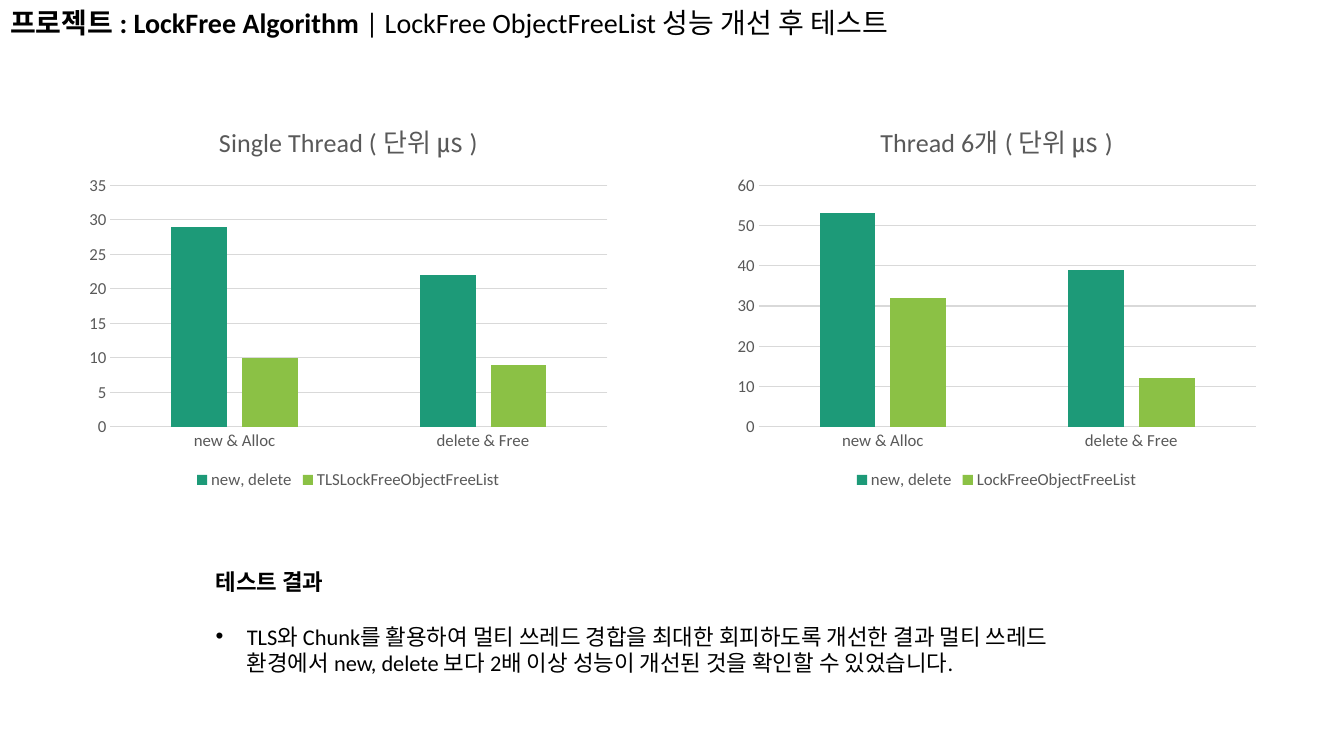
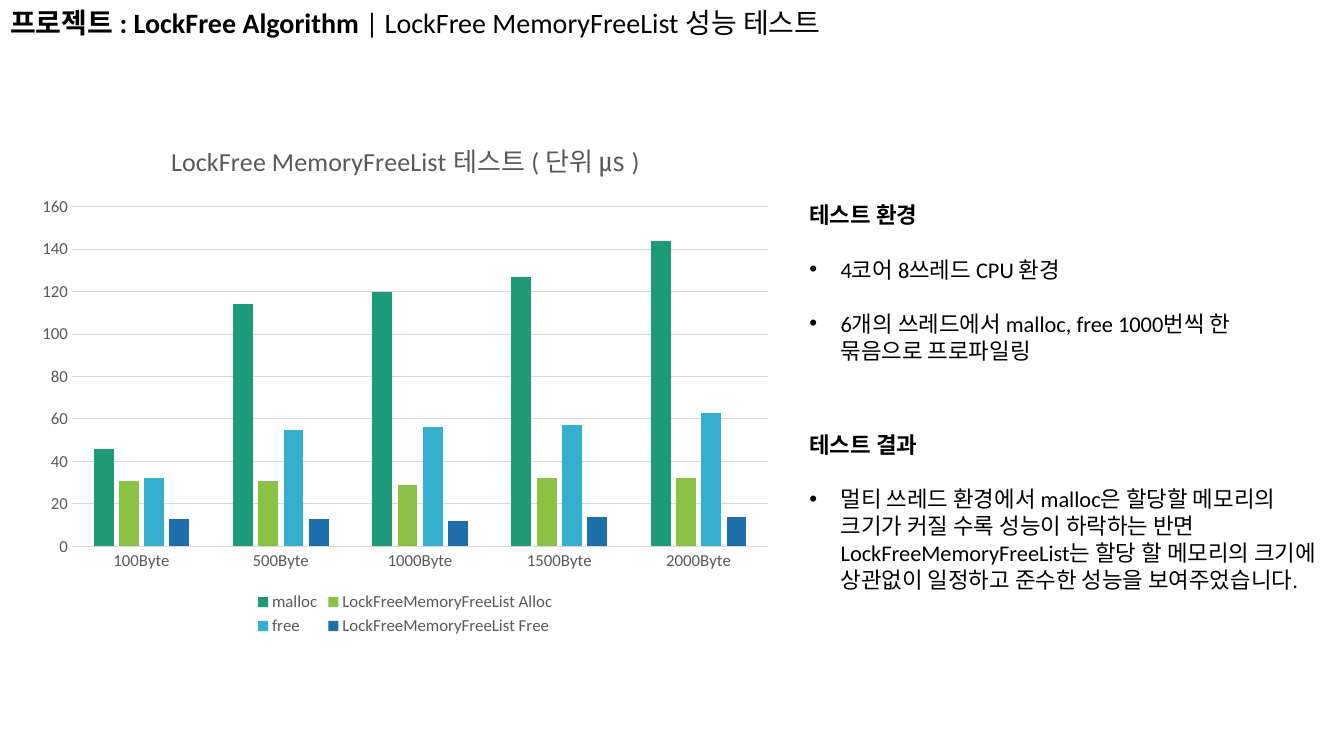
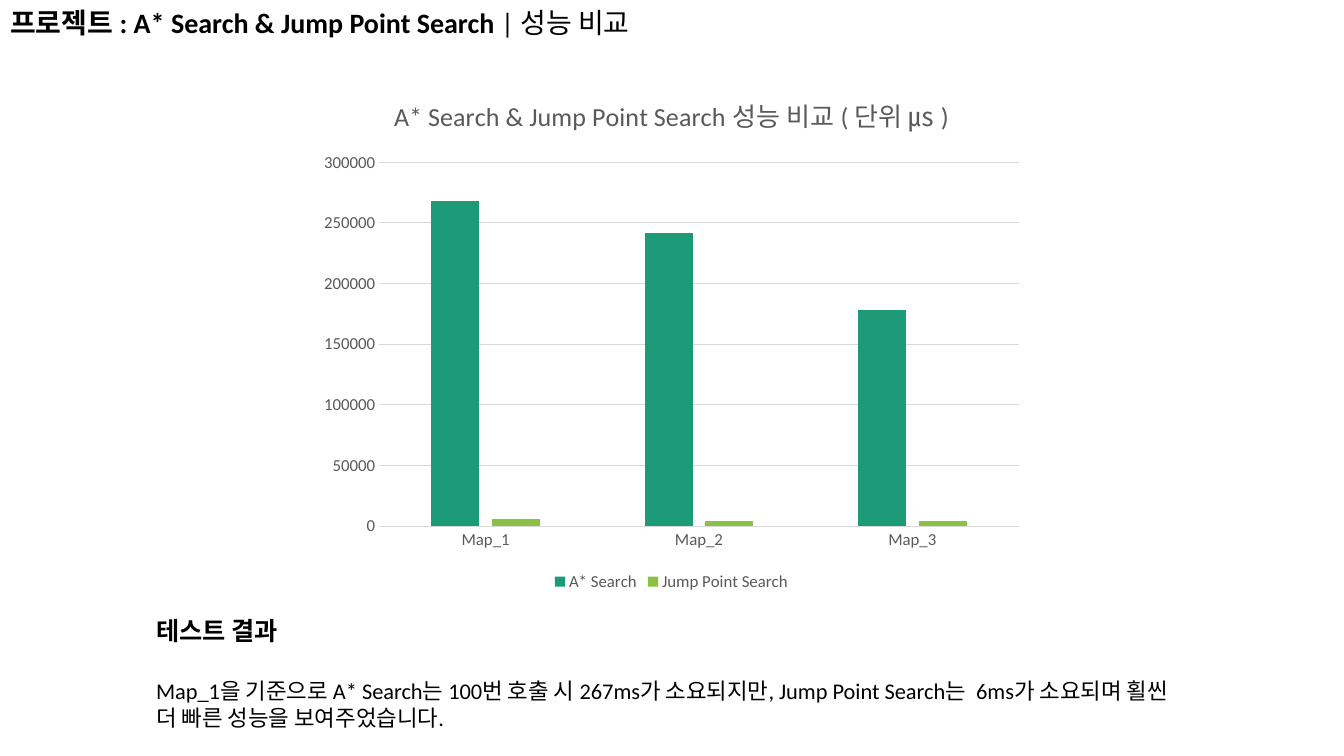
import pptx
import pptx.util
import pptx.chart.data
import pptx.dml.color
import pptx.enum.chart
import pptx.enum.text
from lxml import etree
from pptx.oxml.ns import qn

Inches, Pt = pptx.util.Inches, pptx.util.Pt
RGB = pptx.dml.color.RGBColor

FONT = "Calibri"
BLACK = RGB(0, 0, 0)
GRAY = RGB(0x59, 0x59, 0x59)
RULE = RGB(0xD9, 0xD9, 0xD9)
SERIES_COLORS = [RGB(0x1D, 0x9A, 0x78), RGB(0x8B, 0xC1, 0x45),
                 RGB(0x36, 0xAF, 0xCE), RGB(0x1D, 0x6F, 0xA9)]
INDENT = Inches(0.31)
LINE = 1.22  # height of an empty line, in font sizes

# Content: positions are left, top, width, height in inches
CALLS = ["new & Alloc", "delete & Free"]
SLIDES = [
    dict(
        title=("프로젝트 : LockFree Algorithm ", "| LockFree ObjectFreeList 성능 개선 후 테스트"),
        title_width=9.31,
        charts=[
            dict(at=(0.78, 1, 5.35, 3.9), title="Single Thread ( 단위 ㎲ )", cats=CALLS,
                 series=[("new, delete", (29, 22)),
                         ("TLSLockFreeObjectFreeList", (10, 9))]),
            dict(at=(7.21, 1, 5.35, 3.9), title="Thread 6개 ( 단위 ㎲ )", cats=CALLS,
                 series=[("new, delete", (53, 39)),
                         ("LockFreeObjectFreeList", (32, 12))]),
        ],
        notes=[
            dict(at=(2.04, 5.59, 9.25, 1.18), head="테스트 결과", items=[
                "TLS와 Chunk를 활용하여 멀티 쓰레드 경합을 최대한 회피하도록 개선한 결과 멀티 쓰레드 "
                "환경에서 new, delete 보다 2배 이상 성능이 개선된 것을 확인할 수 있었습니다."]),
        ],
    ),
    dict(
        title=("프로젝트 : LockFree Algorithm ", "| LockFree MemoryFreeList 성능 테스트"),
        title_width=9.31,
        charts=[
            dict(at=(0.27, 1.16, 7.5, 5.19), title="LockFree MemoryFreeList 테스트 ( 단위 ㎲ )",
                 cats=["100Byte", "500Byte", "1000Byte", "1500Byte", "2000Byte"],
                 series=[("malloc", (46, 114, 120, 127, 144)),
                         ("LockFreeMemoryFreeList Alloc", (31, 31, 29, 32, 32)),
                         ("free", (32, 55, 56, 57, 63)),
                         ("LockFreeMemoryFreeList Free", (13, 13, 12, 14, 14))]),
        ],
        notes=[
            dict(at=(7.93, 1.95, 5.14, 1.72), head="테스트 환경", items=[
                "4코어 8쓰레드 CPU 환경",
                "6개의 쓰레드에서 malloc, free 1000번씩 한 묶음으로 프로파일링"]),
            dict(at=(7.93, 4.23, 5.3, 1.99), head="테스트 결과", items=[
                "멀티 쓰레드 환경에서 malloc은 할당할 메모리의 크기가 커질 수록 성능이 하락하는 반면 "
                "LockFreeMemoryFreeList는 할당 할 메모리의 크기에 상관없이 일정하고 준수한 성능을 "
                "보여주었습니다."]),
        ],
    ),
    dict(
        title=("프로젝트 : A* Search & Jump Point Search ", "| 성능 비교"),
        title_width=7.53,
        charts=[
            dict(at=(3.07, 0.72, 7.18, 5.19),
                 title="A* Search & Jump Point Search 성능 비교 ( 단위 ㎲ )",
                 cats=["Map_1", "Map_2", "Map_3"],
                 series=[("A* Search", (268000, 242000, 178000)),
                         ("Jump Point Search", (6000, 4000, 4000))]),
        ],
        notes=[
            dict(at=(1.45, 6.06, 10.44, 1.25), head="테스트 결과", head_size=18, bullets=False, items=[
                "Map_1을 기준으로 A* Search는 100번 호출 시 267ms가 소요되지만, Jump Point Search는  "
                "6ms가 소요되며 횔씬 더 빠른 성능을 보여주었습니다."]),
        ],
    ),
]


def set_font(font, size, color=BLACK, bold=False):
    font.name, font.size, font.bold = FONT, Pt(size), bold
    font.color.rgb = color


def add_text(p, text, size=16, color=BLACK, bold=False):
    r = p.add_run()
    r.text = text
    set_font(r.font, size, color, bold)


def add_bullet(p):
    pPr = p._p.get_or_add_pPr()
    pPr.set("marL", str(INDENT))
    pPr.set("indent", str(-INDENT))
    etree.SubElement(pPr, qn("a:buFont")).set("typeface", "Arial")
    etree.SubElement(pPr, qn("a:buChar")).set("char", "•")


def place_title(s, parts, width):
    sp = s.shapes.title
    sp.left, sp.top, sp.width, sp.height = 0, 0, Inches(width), Inches(0.44)
    tf = sp.text_frame
    tf.word_wrap = True
    tf.auto_size = pptx.enum.text.MSO_AUTO_SIZE.SHAPE_TO_FIT_TEXT
    tf.vertical_anchor = pptx.enum.text.MSO_ANCHOR.TOP
    p = tf.paragraphs[0]
    p.alignment = pptx.enum.text.PP_ALIGN.LEFT
    project, topic = parts
    add_text(p, project, size=20, bold=True)
    add_text(p, topic, size=20)


def add_note(s, at, head, items, head_size=16, bullets=True):
    tf = s.shapes.add_textbox(*map(Inches, at)).text_frame
    tf.word_wrap = True
    tf.auto_size = pptx.enum.text.MSO_AUTO_SIZE.SHAPE_TO_FIT_TEXT
    add_text(tf.paragraphs[0], head, size=head_size, bold=True)
    for item in items:
        p = tf.add_paragraph()
        p.space_before = Pt(round(head_size * LINE, 1))
        if bullets:
            add_bullet(p)
        add_text(p, item)


def add_column_chart(s, at, title, cats, series):
    data = pptx.chart.data.CategoryChartData()
    data.categories = cats
    for name, values in series:
        data.add_series(name, values)
    chart = s.shapes.add_chart(pptx.enum.chart.XL_CHART_TYPE.COLUMN_CLUSTERED,
                               *map(Inches, at), data).chart
    set_font(chart.font, 10)

    # Title and legend
    chart.has_title = True
    add_text(chart.chart_title.text_frame.paragraphs[0], title, size=18.6, color=GRAY)
    chart.chart_title.include_in_layout = False
    chart.has_legend = True
    chart.legend.position = pptx.enum.chart.XL_LEGEND_POSITION.BOTTOM
    chart.legend.include_in_layout = False
    set_font(chart.legend.font, 12, GRAY)

    # Axes
    for axis in (chart.category_axis, chart.value_axis):
        axis.major_tick_mark = axis.minor_tick_mark = pptx.enum.chart.XL_TICK_MARK.NONE
        set_font(axis.tick_labels.font, 12, GRAY)
    grid = chart.value_axis.major_gridlines
    for line in (chart.category_axis.format.line, grid.format.line):
        line.color.rgb = RULE
        line.width = Pt(0.75)
    chart.value_axis.format.line.fill.background()

    # Columns
    plot = chart.plots[0]
    plot.gap_width, plot.overlap, plot.vary_by_categories = 219, -27, False
    for column, color in zip(plot.series, SERIES_COLORS):
        column.format.fill.solid()
        column.format.fill.fore_color.rgb = color


def main():
    prs = pptx.Presentation()
    prs.slide_width, prs.slide_height = Inches(13.33), Inches(7.5)
    title_only = prs.slide_layouts[5]
    for content in SLIDES:
        s = prs.slides.add_slide(title_only)
        place_title(s, content["title"], content["title_width"])
        for chart in content["charts"]:
            add_column_chart(s, **chart)
        for note in content["notes"]:
            add_note(s, **note)
    prs.save("out.pptx")


if __name__ == "__main__":
    main()
